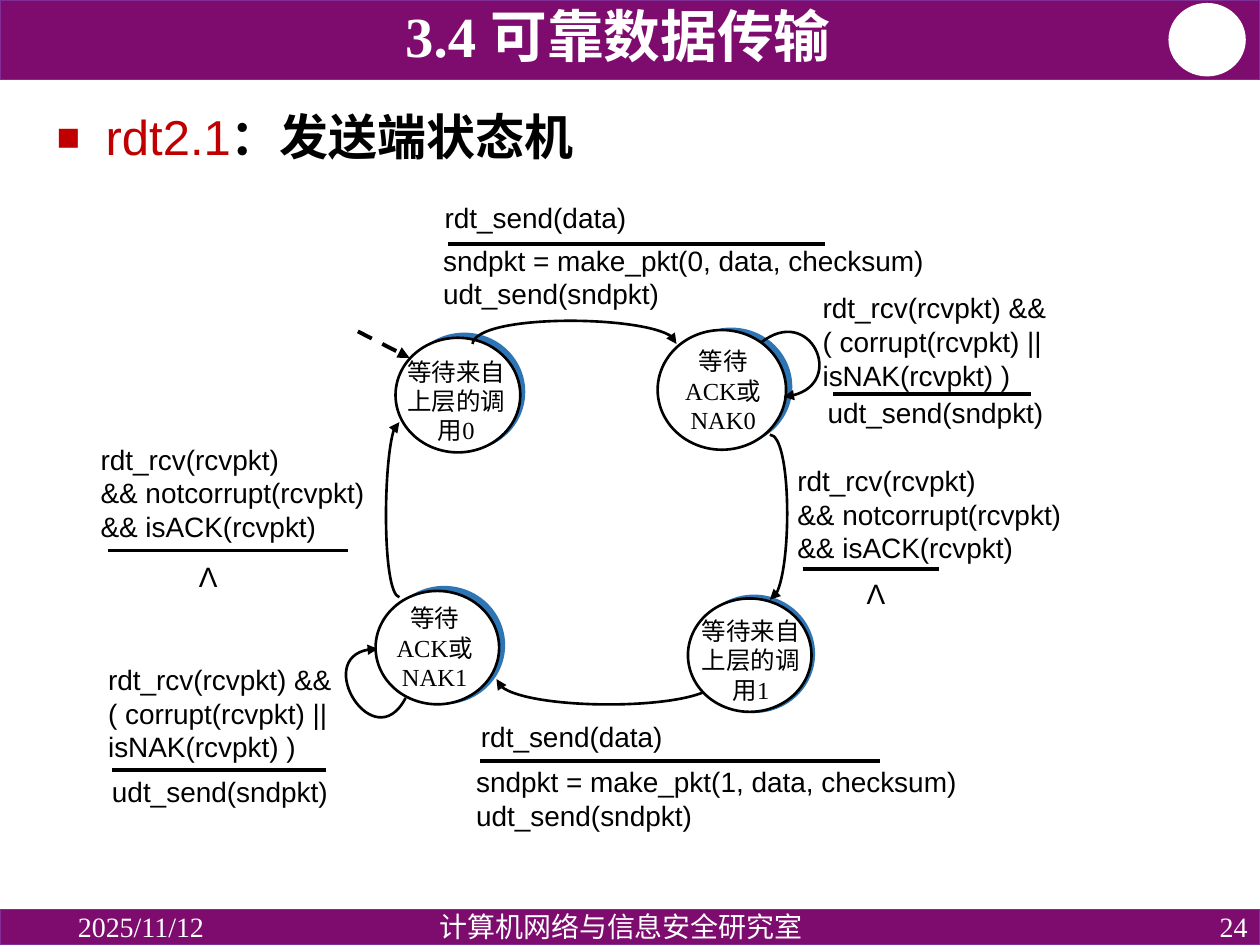
from pptx import Presentation
from pptx.dml.color import RGBColor
from pptx.enum.dml import MSO_LINE
from pptx.enum.shapes import MSO_CONNECTOR, MSO_SHAPE
from pptx.enum.text import MSO_ANCHOR, PP_ALIGN
from pptx.oxml.ns import qn
from pptx.util import Pt
from lxml.etree import SubElement

COLORS = {"purple": "7E0C6E", "edge": "7F2F95", "white": "FFFFFF",
          "black": "000000", "red": "C00000", "blue": "2E75B6"}
SANS, SERIF, CHINESE = "Arial", "Times New Roman", "Noto Sans CJK SC"

# Content: all positions in points
HEADER = "3.4 可靠数据传输"
HEADING = [("rdt2.1", "red", False), ("：发送端状态机", "black", True)]
FOOTERS = [  # text, box, alignment
    ("2025/11/12", (37.4, 520, 162, 18.7), PP_ALIGN.LEFT),
    ("计算机网络与信息安全研究室", (193.7, 520, 322.6, 18.7), PP_ALIGN.CENTER),
    ("24", (558, 520, 162, 18.7), PP_ALIGN.RIGHT),
]
# text, ellipse, top left of the shadow, top left of the text
UPPER_STATES = [
    ("等待来自上层的调用0", (226, 193, 71.3, 65.5), (230.4, 190.1), (225.4, 200.2)),
    ("等待ACK或NAK0", (375.8, 188.6, 73.4, 68.4), (383, 187.2), (378, 194.4)),
]
LOWER_STATES = [
    ("等待ACK或NAK1", (214.6, 337.7, 70.6, 64.8), (218.9, 334.8), (213.1, 341.3)),
    ("等待来自上层的调用1", (393.1, 342, 70.6, 64.8), (396, 339.8), (393.8, 348.5)),
]
SHADOW_SIZE, STATE_TEXT_SIZE = (69.8, 67.7), (70.6, 55.4)
# start, two control points, end
TRANSITIONS = [
    [(270, 196.6), (272.2, 179.3), (386.6, 180), (386.6, 196.6)],
    [(434.9, 195.8), (463, 173.5), (486, 223.2), (447.8, 226.8)],
    [(439.9, 248.4), (452.2, 248.4), (452.9, 340.6), (439.9, 342.7)],
    [(409.7, 388.1), (409.7, 406.1), (285.8, 407.5), (283.7, 388.1)],
    [(231.8, 398.9), (213.8, 433.4), (175, 370.8), (216, 370.8)],
    [(228.2, 341.3), (218.2, 339.1), (218.9, 241.2), (228.2, 241.2)],
]
RESEND = ["rdt_rcv(rcvpkt) &&", "( corrupt(rcvpkt) ||", "isNAK(rcvpkt) )"]
ADVANCE = ["rdt_rcv(rcvpkt)", "&& notcorrupt(rcvpkt)", "&& isACK(rcvpkt)"]
SEND = "sndpkt = make_pkt({}, data, checksum)"
LABELS = [  # lines, left, top, width
    (["rdt_send(data)"], 247, 110.9, 166),
    ([SEND.format(0), "udt_send(sndpkt)"], 246.2, 135.4, 291),
    (RESEND, 463, 162.7, 202),
    (["udt_send(sndpkt)"], 465.8, 222.5, 178),
    (ADVANCE, 448.6, 261.4, 236),
    (["Λ"], 488.2, 326.2, 30),
    (["rdt_send(data)"], 267.8, 407.5, 188),
    ([SEND.format(1), "udt_send(sndpkt)"], 265, 433.4, 297),
    (RESEND, 54.7, 375.1, 158),
    (["udt_send(sndpkt)"], 56.9, 439.2, 143),
    (ADVANCE, 50.4, 249.1, 166),
    (["Λ"], 106.6, 316.1, 30),
]
RULES = [(256.3, 471.6, 139.7), (475.9, 589, 225.4), (458.6, 536.4, 325.4),
         (274.3, 502.6, 434.9), (64.1, 186.5, 439.9), (61.9, 198.7, 314.6)]
START_ARROW = (204.5, 189.4, 234, 204.5)

presentation = Presentation()
presentation.slide_width, presentation.slide_height = Pt(720), Pt(540)
slide = presentation.slides.add_slide(presentation.slide_layouts[5])
shapes = slide.shapes


def color(name):
    return RGBColor.from_string(COLORS[name])


def format_run(run, size, font, ink, bold=False):
    run.font.size, run.font.name, run.font.bold = Pt(size), font, bold
    run.font.color.rgb = color(ink)
    SubElement(run._r.get_or_add_rPr(), qn("a:ea"), typeface=CHINESE)


def add_text(lines, box, size=16, font=SANS, ink="black", bold=False,
             align=PP_ALIGN.LEFT, anchor=MSO_ANCHOR.TOP, spacing=1.2):
    frame = shapes.add_textbox(*map(Pt, box)).text_frame
    frame.word_wrap, frame.vertical_anchor = True, anchor
    for index, line in enumerate(lines):
        paragraph = frame.add_paragraph() if index else frame.paragraphs[0]
        paragraph.alignment = align
        paragraph.line_spacing = Pt(round(size * spacing, 1))
        run = paragraph.add_run()
        run.text = line
        format_run(run, size, font, ink, bold)


def add_shape(kind, box, fill, edge=None, width=1):
    shape = shapes.add_shape(kind, *map(Pt, box))
    shape.shadow.inherit = False
    shape.fill.solid()
    shape.fill.fore_color.rgb = color(fill)
    if edge:
        shape.line.color.rgb = color(edge)
        shape.line.width = Pt(width)
    else:
        shape.line.fill.background()


def add_arrowhead(shape):
    SubElement(shape.line._get_or_add_ln(), qn("a:tailEnd"), type="triangle")


def add_line(x1, y1, x2, y2):
    line = shapes.add_connector(MSO_CONNECTOR.STRAIGHT, *map(Pt, (x1, y1, x2, y2)))
    line.line.color.rgb = color("black")
    line.line.width = Pt(2.25)
    SubElement(line._element.spPr, qn("a:effectLst"))
    return line


def add_curve(points):
    start, *others = [(Pt(x), Pt(y)) for x, y in points]
    builder = shapes.build_freeform(*start)
    builder.add_line_segments(others, close=False)
    curve = builder.convert_to_shape()
    curve.shadow.inherit = False
    curve.fill.background()
    curve.line.color.rgb = color("black")
    curve.line.width = Pt(1.5)
    add_arrowhead(curve)
    # Turn the three segments into one cubic curve
    segments = list(curve._element.iter(qn("a:lnTo")))
    outline = segments[0].getparent()
    cubic = SubElement(outline, qn("a:cubicBezTo"))
    for segment in segments:
        cubic.append(segment[0])
        outline.remove(segment)


def add_states(states):
    for text, ellipse, shadow, corner in states:
        add_shape(MSO_SHAPE.OVAL, ellipse, "white", "black", 1.5)
        add_text([text], corner + STATE_TEXT_SIZE, size=14, font=SERIF,
                 align=PP_ALIGN.CENTER)


# Header and footer bands
add_shape(MSO_SHAPE.RECTANGLE, (0, 0, 720, 45.4), "purple", "edge")
add_shape(MSO_SHAPE.OVAL, (668.2, 2.2, 43.2, 41), "white", "white")
add_shape(MSO_SHAPE.RECTANGLE, (0, 519.8, 720, 20.2), "purple", "edge")
add_text([HEADER], (55.4, 2.9, 595.4, 40.3), size=32.4, font=SERIF, ink="white",
         bold=True, align=PP_ALIGN.CENTER, anchor=MSO_ANCHOR.BOTTOM, spacing=1)
for text, box, align in FOOTERS:
    add_text([text], box, font=SERIF, ink="white", align=align,
             anchor=MSO_ANCHOR.MIDDLE)

# Bulleted heading
title = shapes.title
title.left, title.top, title.width, title.height = map(Pt, (25.2, 48.2, 668.9, 63.4))
title.text_frame.vertical_anchor = MSO_ANCHOR.MIDDLE
paragraph = title.text_frame.paragraphs[0]
properties = paragraph._p.get_or_add_pPr()
properties.set("marL", str(Pt(28)))
properties.set("indent", str(-Pt(28)))
bullet_color = SubElement(properties, qn("a:buClr"))
SubElement(bullet_color, qn("a:srgbClr"), val=COLORS["red"])
SubElement(properties, qn("a:buSzPct"), val="80000")
SubElement(properties, qn("a:buFont"), typeface=SANS)
SubElement(properties, qn("a:buChar"), char="■")
paragraph.alignment, paragraph.line_spacing = PP_ALIGN.LEFT, 0.9
for text, ink, bold in HEADING:
    run = paragraph.add_run()
    run.text = text
    format_run(run, 28, SANS, ink, bold)

# State machine: lower states cover the ends of their transitions
for text, ellipse, shadow, corner in UPPER_STATES + LOWER_STATES:
    add_shape(MSO_SHAPE.OVAL, shadow + SHADOW_SIZE, "blue")
add_states(UPPER_STATES)
for points in TRANSITIONS:
    add_curve(points)
add_states(LOWER_STATES)
start_arrow = add_line(*START_ARROW)
start_arrow.line.dash_style = MSO_LINE.DASH
add_arrowhead(start_arrow)

# Events above the rules, actions below
for lines, left, top, width in LABELS:
    add_text(lines, (left, top, width, 22 + 19 * (len(lines) - 1)))
for left, right, height in RULES:
    add_line(left, height, right, height)

presentation.save("out.pptx")
